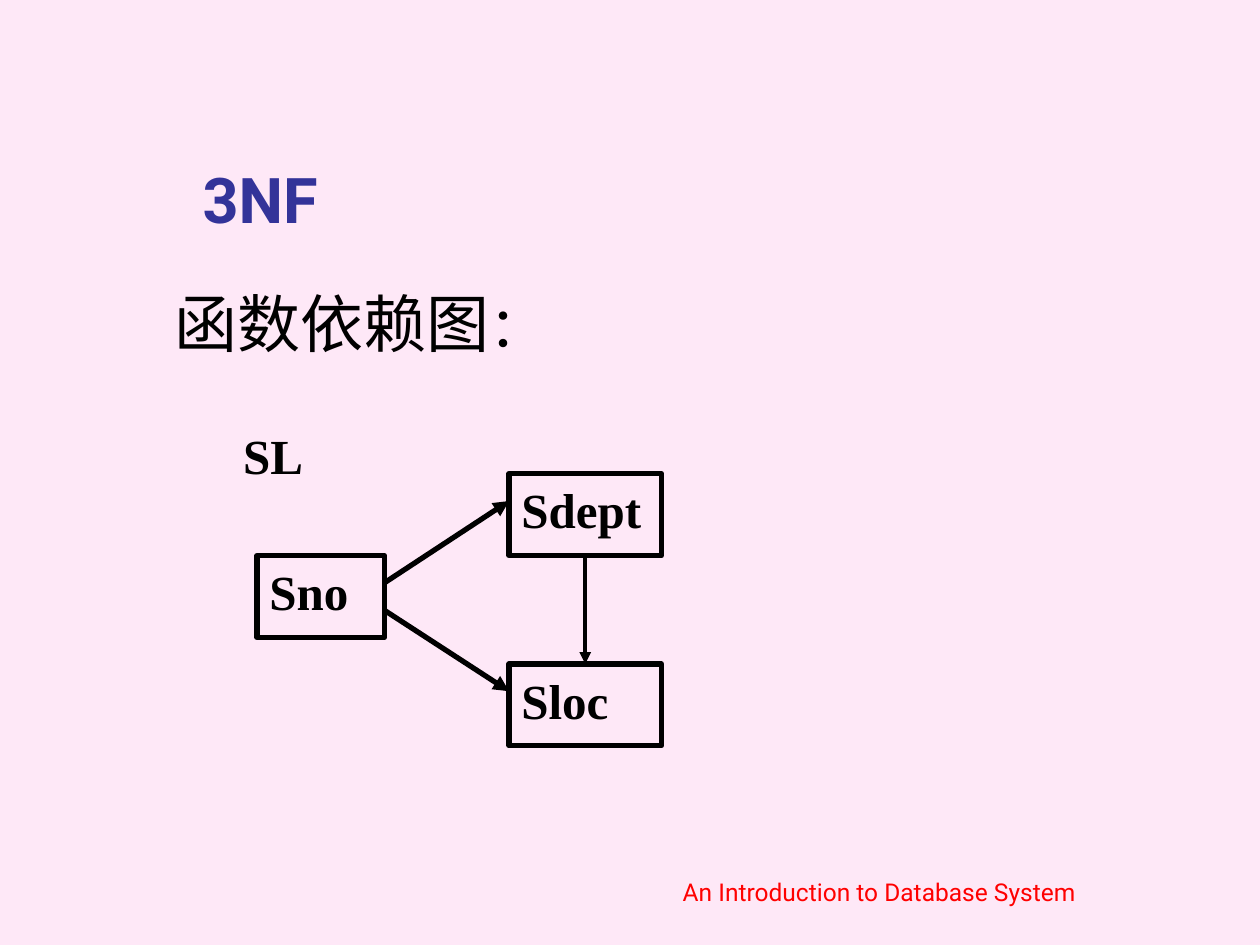
from lxml import etree
from pptx import Presentation
from pptx import util as u
from pptx.dml.color import RGBColor
from pptx.enum import shapes, text
from pptx.oxml import ns

Pt = u.Pt
PINK = RGBColor(0xFE, 0xE8, 0xF7)
INDIGO = RGBColor(0x33, 0x33, 0x99)
RED = RGBColor(0xFF, 0, 0)
BLACK = RGBColor(0, 0, 0)
SANS, SERIF = "Roboto", "Times New Roman"

# left, top, width, height
FOOTER = ("An Introduction to Database System", (314.6, 485.3, 375.8, 36))
TITLE = ("3NF", (90.7, 48.2, 613.4, 90))
HEADING = ([("函数依赖图", 36), ("：", 32)], (92.9, 159.1, 612, 324))
RELATION = ("SL", (131.8, 239.8, 87.1, 46.8))
ATTRIBUTES = {
    "Sno": (146.9, 317.5, 72.7, 46.8),
    "Sdept": (290.9, 270.7, 87.1, 46.8),
    "Sloc": (290.9, 379.4, 87.1, 46.8),
}
# start, end, share of each box height where the arrow leaves and arrives
SLOPING_ARROWS = [("Sno", "Sdept", 1 / 3, 1 / 3), ("Sno", "Sloc", 2 / 3, 1 / 3)]


def write(shape, content, size=28, font=SERIF, color=BLACK, bold=False,
          align=text.PP_ALIGN.LEFT, anchor=text.MSO_ANCHOR.TOP, indent=0):
    """Fill a shape with one paragraph, given as a string or (string, size) runs."""
    frame = shape.text_frame
    frame.word_wrap = True
    frame.vertical_anchor = anchor
    paragraph = frame.paragraphs[0]
    paragraph.alignment = align
    if indent:
        paragraph._p.get_or_add_pPr().set("marL", str(Pt(indent)))
    runs = [(content, size)] if isinstance(content, str) else content
    for words, run_size in runs:
        run = paragraph.add_run()
        run.text = words
        run.font.size = Pt(run_size)
        run.font.name = font
        run.font.bold = bold
        run.font.color.rgb = color


def add_text(slide, content, place, **style):
    write(slide.shapes.add_textbox(*map(Pt, place)), content, **style)


def add_box(slide, label, place):
    box = slide.shapes.add_shape(shapes.MSO_SHAPE.RECTANGLE, *map(Pt, place))
    box.shadow.inherit = False
    box.fill.background()
    box.line.color.rgb = BLACK
    box.line.width = Pt(3)
    write(box, label, bold=True, align=text.PP_ALIGN.JUSTIFY)
    return box


def add_arrow(slide, start, end, width):
    arrow = slide.shapes.add_connector(
        shapes.MSO_CONNECTOR.STRAIGHT, *map(Pt, start + end))
    arrow.line.color.rgb = BLACK
    arrow.line.width = Pt(width)
    etree.SubElement(arrow.line._get_or_add_ln(), ns.qn("a:tailEnd"), type="triangle")
    etree.SubElement(arrow._element.spPr, ns.qn("a:effectLst"))
    return arrow


def main():
    presentation = Presentation()
    presentation.slide_width, presentation.slide_height = Pt(720), Pt(540)
    slide = presentation.slides.add_slide(presentation.slide_layouts[6])
    slide.background.fill.solid()
    slide.background.fill.fore_color.rgb = PINK

    add_text(slide, *FOOTER, size=14, font=SANS, color=RED,
             align=text.PP_ALIGN.CENTER, anchor=text.MSO_ANCHOR.BOTTOM)
    add_text(slide, *TITLE, size=36, font=SANS, color=INDIGO, bold=True,
             anchor=text.MSO_ANCHOR.BOTTOM, indent=18)
    add_text(slide, *HEADING, font=SANS)
    add_text(slide, *RELATION, bold=True, align=text.PP_ALIGN.JUSTIFY)

    boxes = {label: add_box(slide, label, place) for label, place in ATTRIBUTES.items()}
    for source, target, leave, arrive in SLOPING_ARROWS:
        left, top, width, height = ATTRIBUTES[source]
        end_left, end_top, _, end_height = ATTRIBUTES[target]
        add_arrow(slide, (left + width, top + leave * height),
                  (end_left, end_top + arrive * end_height), 3)

    down = add_arrow(slide, (0, 0), (0, 0), 2.25)
    down.begin_connect(boxes["Sdept"], 2)
    down.end_connect(boxes["Sloc"], 0)

    presentation.save("out.pptx")


if __name__ == "__main__":
    main()
